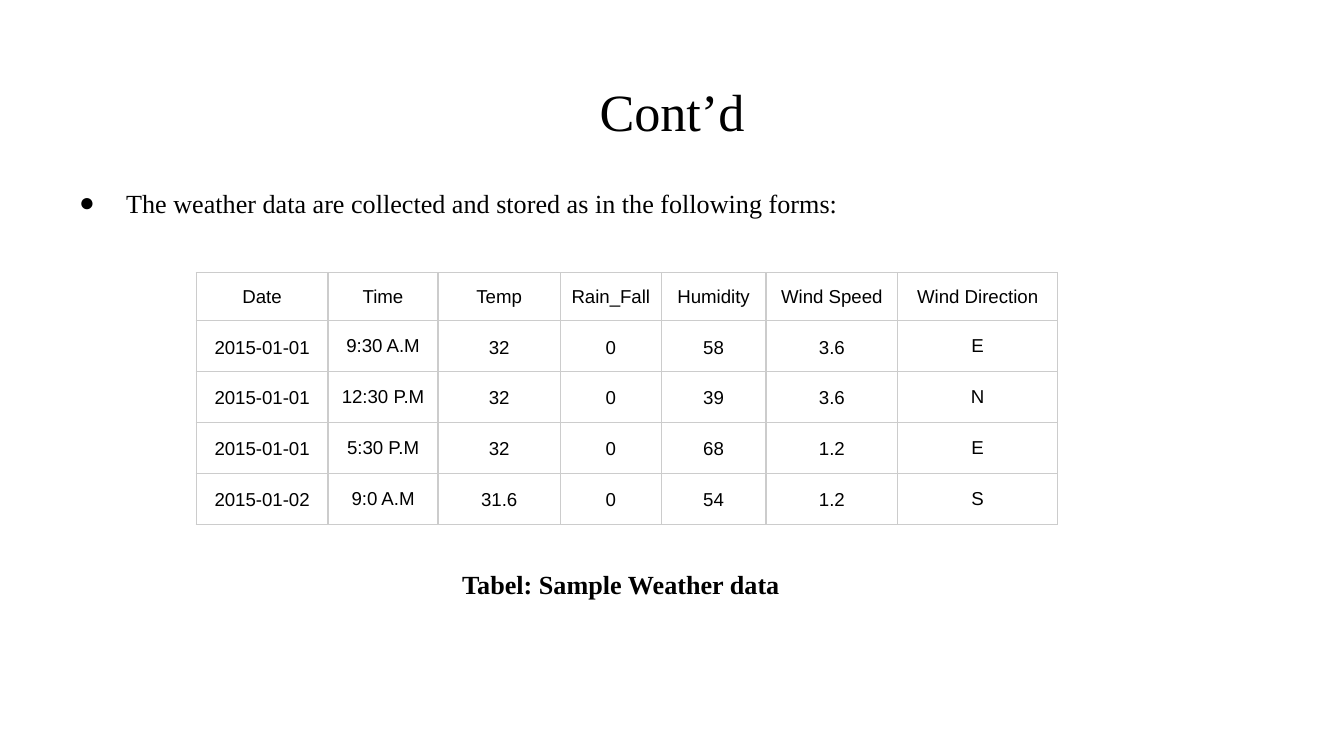
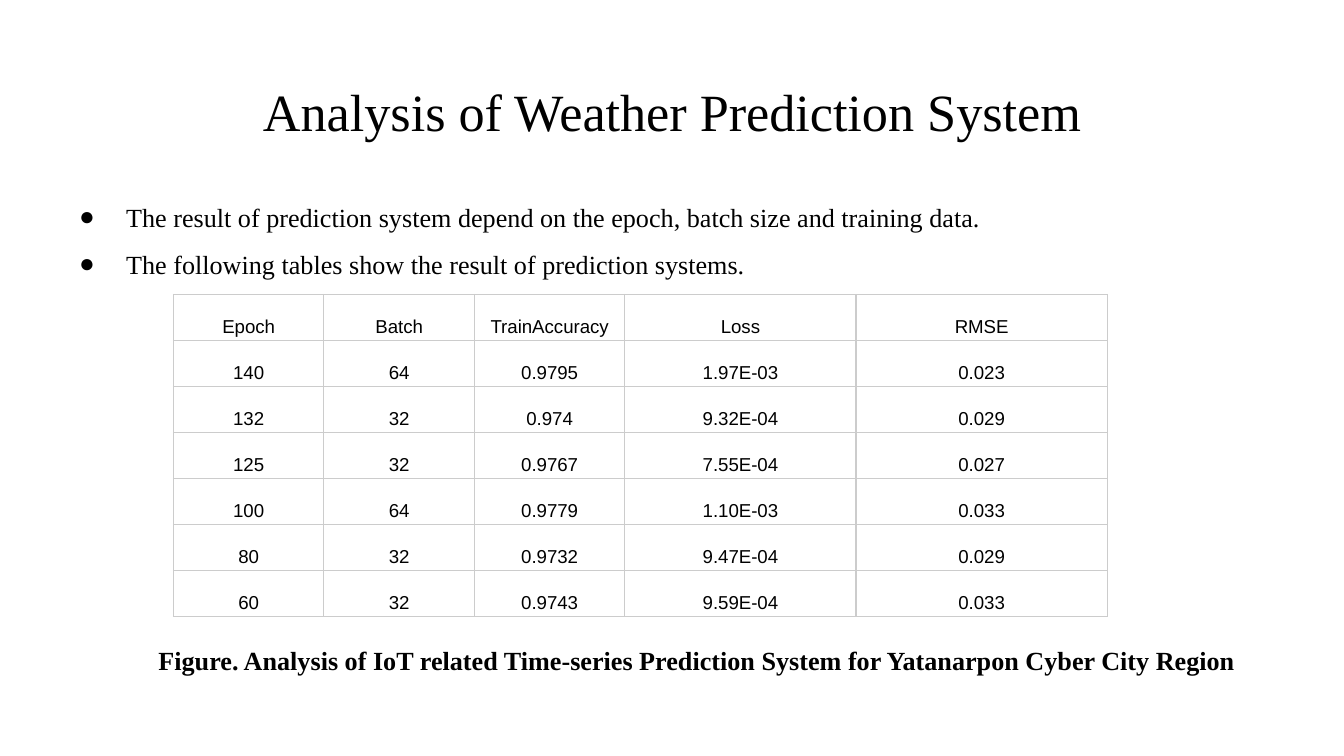
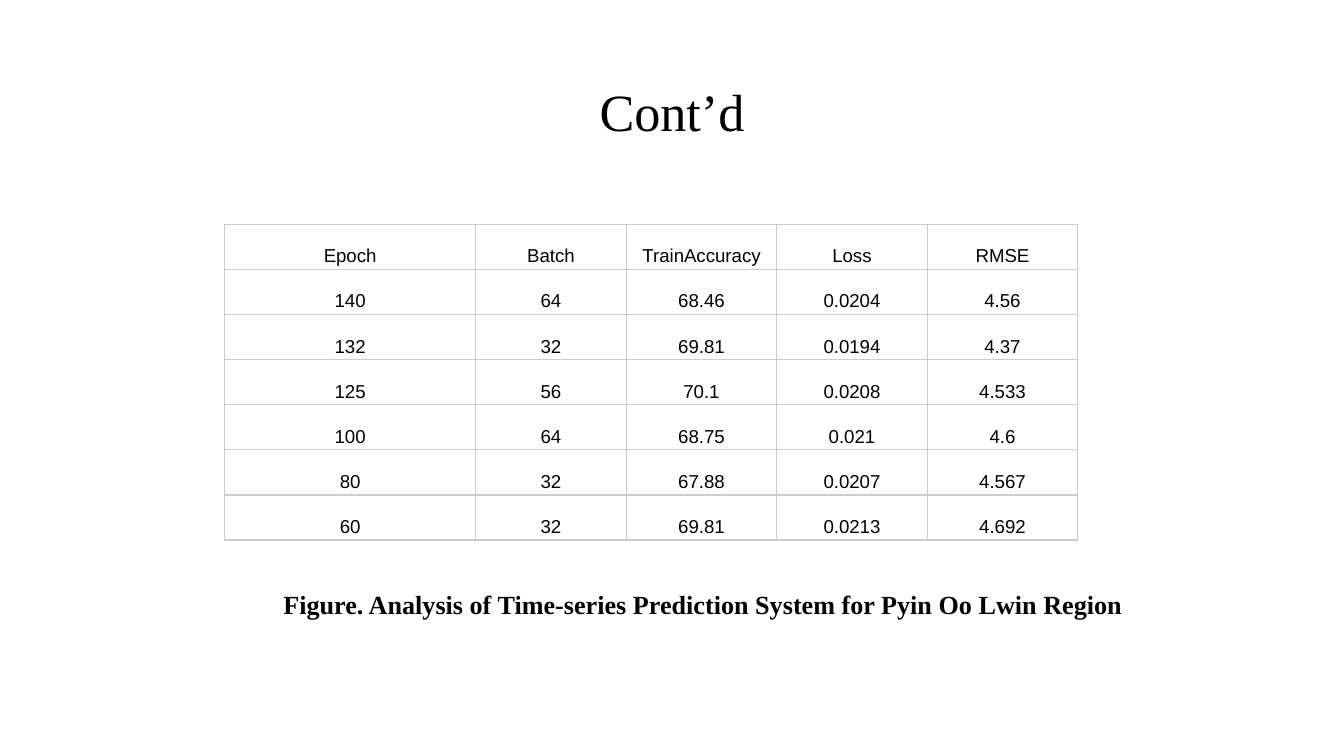
import pptx
import pptx.dml.color
import pptx.enum.text
import pptx.oxml.ns
import pptx.util
from lxml import etree
from pptx.util import Inches

BLACK, WHITE, GRID = "000000", "FFFFFF", "CCCCCC"
SERIF, SANS = "Times New Roman", "Arial"
ANCHOR = pptx.enum.text.MSO_ANCHOR
CENTER = pptx.enum.text.PP_ALIGN.CENTER
BORDER_WIDTH = 0.75
TITLE_AREA = (0.34, 0.49, 9.32, 0.63)


def color(hex_text):
    return pptx.dml.color.RGBColor.from_string(hex_text)


def add_span(para, text, size, font=SERIF, bold=False):
    span = para.add_run()
    span.text = text
    span.font.size = pptx.util.Pt(size)
    span.font.name = font
    span.font.bold = bold
    span.font.color.rgb = color(BLACK)


# Table styles: cell margins (side, top and bottom), anchor, fill
# and the columns that keep single line spacing
weather_style = dict(margins=(0.02, 0.1), anchor=ANCHOR.MIDDLE, fill=WHITE, single=(1, 6))
result_style = dict(margins=(0.03, 0.02), anchor=ANCHOR.BOTTOM, fill=None, single=())
result_header = ["Epoch", "Batch", "TrainAccuracy", "Loss", "RMSE"]

# Paragraphs: text, is bullet, left indent, line spacing, points before
pages = [
    dict(
        title="Cont’d",
        texts=[
            ((0.34, 1.26, 9.32, 3.74), [
                ("The weather data are collected and stored as in the following forms:",
                 True, 0.5, 1.15, 0)]),
            ((3.34, 4.13, 3.45, 0.45), [
                ("Tabel: Sample Weather data", False, 0, 1, 0)]),
        ],
        at=(1.46, 2.03),
        columns=[0.98, 0.82, 0.91, 0.75, 0.78, 0.98, 1.19],
        heights=[0.32] + [0.34] * 4,
        style=weather_style,
        rows=[
            ["Date", "Time", "Temp", "Rain_Fall", "Humidity", "Wind Speed", "Wind Direction"],
            ["2015-01-01", "9:30 A.M", "32", "0", "58", "3.6", "E"],
            ["2015-01-01", "12:30 P.M", "32", "0", "39", "3.6", "N"],
            ["2015-01-01", "5:30 P.M", "32", "0", "68", "1.2", "E"],
            ["2015-01-02", "9:0 A.M", "31.6", "0", "54", "1.2", "S"],
        ],
    ),
    dict(
        title="Analysis of Weather Prediction System",
        texts=[
            ((0.34, 1.28, 9.32, 3.74), [
                ("The result of prediction system depend on the epoch, batch size and training data.",
                 True, 0.5, 1.5, 0),
                ("The following tables show the result of prediction systems.",
                 True, 0.5, 1.5, 0),
                ("Figure. Analysis of IoT related Time-series Prediction System "
                 "for Yatanarpon Cyber City Region", False, 0.74, 1.15, 193)]),
        ],
        at=(1.29, 2.19),
        columns=[1.12, 1.12, 1.12, 1.72, 1.87],
        heights=[2.4 / 7] * 7,
        style=result_style,
        rows=[
            result_header,
            ["140", "64", "0.9795", "1.97E-03", "0.023"],
            ["132", "32", "0.974", "9.32E-04", "0.029"],
            ["125", "32", "0.9767", "7.55E-04", "0.027"],
            ["100", "64", "0.9779", "1.10E-03", "0.033"],
            ["80", "32", "0.9732", "9.47E-04", "0.029"],
            ["60", "32", "0.9743", "9.59E-04", "0.033"],
        ],
    ),
    dict(
        title="Cont’d",
        texts=[
            ((1.51, 4.24, 7.61, 0.89), [
                ("Figure. Analysis of Time-series Prediction System for Pyin Oo Lwin Region",
                 False, 0.5, 1.15, 0)]),
        ],
        at=(1.67, 1.67),
        columns=[1.87, 1.12, 1.12, 1.12, 1.12],
        heights=[2.35 / 7] * 7,
        style=result_style,
        rows=[
            result_header,
            ["140", "64", "68.46", "0.0204", "4.56"],
            ["132", "32", "69.81", "0.0194", "4.37"],
            ["125", "56", "70.1", "0.0208", "4.533"],
            ["100", "64", "68.75", "0.021", "4.6"],
            ["80", "32", "67.88", "0.0207", "4.567"],
            ["60", "32", "69.81", "0.0213", "4.692"],
        ],
    ),
]

# Widescreen deck, 16 to 9
deck = pptx.Presentation()
deck.slide_width = Inches(10)
deck.slide_height = Inches(10 * 9 / 16)
title_only = deck.slide_layouts[5]

for content in pages:
    page = deck.slides.add_slide(title_only)

    # Title
    title = page.shapes.title
    title.left, title.top, title.width, title.height = map(Inches, TITLE_AREA)
    title.text_frame.vertical_anchor = ANCHOR.TOP
    title.text_frame.paragraphs[0].alignment = CENTER
    add_span(title.text_frame.paragraphs[0], content["title"], 28)
    frames = [title.text_frame]

    # Bullets and bold captions
    for area, paragraphs in content["texts"]:
        box = page.shapes.add_textbox(*map(Inches, area))
        frames.append(box.text_frame)
        for index, (text, bullet, indent, spacing, before) in enumerate(paragraphs):
            para = box.text_frame.add_paragraph() if index else box.text_frame.paragraphs[0]
            para.line_spacing = spacing
            para.space_before = pptx.util.Pt(before)
            properties = para._p.get_or_add_pPr()
            properties.set("marL", str(Inches(indent)))
            if bullet:
                properties.set("indent", str(Inches(-0.35)))
                bullet_color = etree.SubElement(properties, pptx.oxml.ns.qn("a:buClr"))
                etree.SubElement(bullet_color, pptx.oxml.ns.qn("a:srgbClr"), val=BLACK)
                etree.SubElement(properties, pptx.oxml.ns.qn("a:buFont"), typeface=SERIF)
                etree.SubElement(properties, pptx.oxml.ns.qn("a:buChar"), char="●")
            add_span(para, text, 14, bold=not bullet)

    for frame in frames:
        frame.word_wrap = True
        frame.auto_size = pptx.enum.text.MSO_AUTO_SIZE.NONE
        frame.margin_left = frame.margin_right = Inches(0.1)
        frame.margin_top = frame.margin_bottom = Inches(0.1)

    # Table
    style, rows = content["style"], content["rows"]
    columns, heights = content["columns"], content["heights"]
    size = (sum(columns), sum(heights))
    table = page.shapes.add_table(
        len(rows), len(columns), *map(Inches, content["at"] + size)).table
    table.first_row = table.horz_banding = False
    for column, width in zip(table.columns, columns):
        column.width = Inches(width)
    for row, height, values in zip(table.rows, heights, rows):
        row.height = Inches(height)
        for index, (cell, value) in enumerate(zip(row.cells, values)):
            side, edge = style["margins"]
            cell.margin_left = cell.margin_right = Inches(side)
            cell.margin_top = cell.margin_bottom = Inches(edge)
            cell.vertical_anchor = style["anchor"]
            cell_properties = cell._tc.get_or_add_tcPr()
            for tag in ("a:lnL", "a:lnR", "a:lnT", "a:lnB"):
                border = etree.SubElement(cell_properties, pptx.oxml.ns.qn(tag),
                                          w=str(pptx.util.Pt(BORDER_WIDTH)))
                line_fill = etree.SubElement(border, pptx.oxml.ns.qn("a:solidFill"))
                etree.SubElement(line_fill, pptx.oxml.ns.qn("a:srgbClr"), val=GRID)
            if style["fill"]:
                cell.fill.solid()
                cell.fill.fore_color.rgb = color(style["fill"])
            else:
                cell.fill.background()
            para = cell.text_frame.paragraphs[0]
            para.alignment = CENTER
            if index not in style["single"] and (values is not rows[0] or not style["single"]):
                para.line_spacing = 1.15
            add_span(para, value, 10, SANS)

deck.save("out.pptx")
